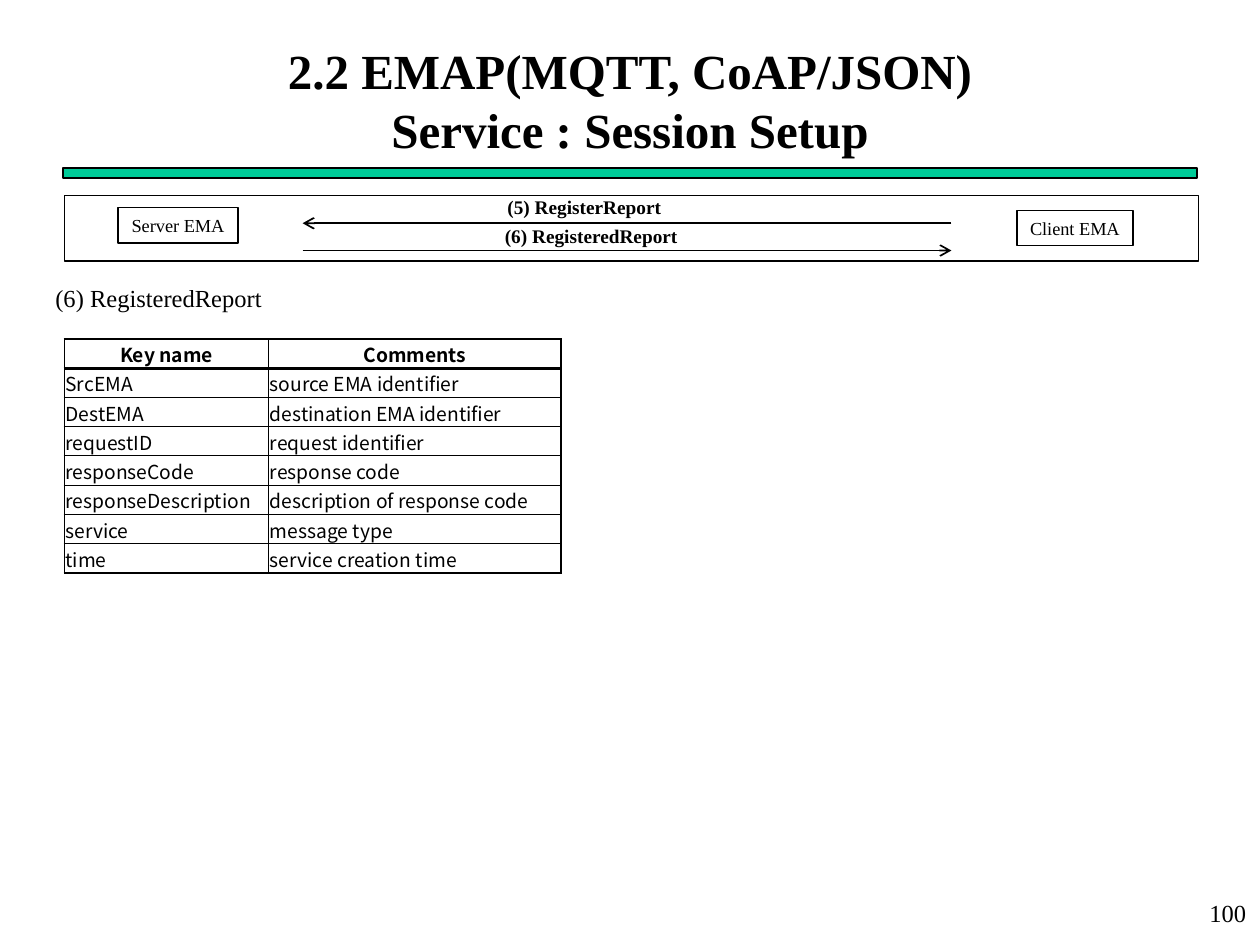
from lxml.etree import SubElement
from pptx import Presentation
from pptx.dml.color import RGBColor
from pptx.enum.shapes import MSO_CONNECTOR, MSO_SHAPE
from pptx.enum.text import MSO_ANCHOR, PP_ALIGN
from pptx.oxml.ns import qn
from pptx.util import Cm, Pt

BLACK = RGBColor(0x00, 0x00, 0x00)
WHITE = RGBColor(0xFF, 0xFF, 0xFF)
GREEN = RGBColor(0x00, 0xCC, 0x99)
SERIF = "Times New Roman"
SANS = "Noto Sans CJK KR"

TITLE = ["2.2 EMAP(MQTT, CoAP/JSON)", "Service : Session Setup"]
HEADING = "(6) RegisteredReport"
PAGE_NUMBER = "100"

# Positions are left, top, width, height in cm
ENDPOINTS = [
    ("Server EMA", (2.38, 4.19, 2.42, 0.71)),
    ("Client EMA", (20.5, 4.24, 2.34, 0.71)),
]
# Label, label position, start x, end x, y of the arrow
MESSAGES = [
    ("(5) RegisterReport", (9.98, 3.81, 3.63, 0.74), 19.18, 6.1, 4.5),
    (" (6) RegisteredReport", (9.83, 4.4, 4.11, 0.74), 6.1, 19.18, 5.05),
]
KEYS = [
    ("Key name", "Comments"),
    ("SrcEMA", "source EMA identifier"),
    ("DestEMA", "destination EMA identifier"),
    ("requestID", "request identifier"),
    ("responseCode", "response code"),
    ("responseDescription", "description of response code"),
    ("service", "message type"),
    ("time", "service creation time"),
]
COLUMN_WIDTHS = [4.12, 5.89]
ROW_HEIGHT = 0.59


def write(tf, lines, size, bold=False, align=PP_ALIGN.LEFT, font=SERIF):
    p = tf.paragraphs[0]
    p.alignment = align
    for i, line in enumerate(lines):
        if i:
            p.add_line_break()
        r = p.add_run()
        r.text = line
        r.font.size = Pt(size)
        r.font.bold = bold
        r.font.name = font
        r.font.color.rgb = BLACK


def add_box(shapes, at, fill, line_width):
    s = shapes.add_shape(MSO_SHAPE.RECTANGLE, *map(Cm, at))
    s.shadow.inherit = False
    s.fill.solid()
    s.fill.fore_color.rgb = fill
    s.line.color.rgb = BLACK
    s.line.width = Pt(line_width)
    return s


def add_label(shapes, at, lines, size, wrap=False, anchor=MSO_ANCHOR.TOP, **style):
    tf = shapes.add_textbox(*map(Cm, at)).text_frame
    tf.word_wrap = wrap
    tf.vertical_anchor = anchor
    write(tf, lines, size, **style)


def add_arrow(shapes, x1, x2, y):
    s = shapes.add_connector(MSO_CONNECTOR.STRAIGHT, Cm(x1), Cm(y), Cm(x2), Cm(y))
    s.line.color.rgb = BLACK
    s.line.width = Pt(1)
    SubElement(s.line._get_or_add_ln(), qn("a:tailEnd"), type="arrow")
    SubElement(s._element.spPr, qn("a:effectLst"))


def set_borders(cell, **widths):
    tcPr = cell._tc.get_or_add_tcPr()
    for side in "LRTB":
        ln = SubElement(tcPr, qn("a:ln" + side), w=str(Pt(widths[side])))
        fill = SubElement(ln, qn("a:solidFill"))
        SubElement(fill, qn("a:srgbClr"), val=str(BLACK))


def add_key_table(shapes, left, top):
    rows, cols = len(KEYS), len(COLUMN_WIDTHS)
    table = shapes.add_table(rows, cols, Cm(left), Cm(top),
                             Cm(sum(COLUMN_WIDTHS)), Cm(rows * ROW_HEIGHT)).table
    for column, width in zip(table.columns, COLUMN_WIDTHS):
        column.width = Cm(width)
    row_lines = [1, 2] + [0.5] * (rows - 2) + [1]
    column_lines = [1, 0.5, 1]
    for i, texts in enumerate(KEYS):
        table.rows[i].height = Cm(ROW_HEIGHT)
        for j, text in enumerate(texts):
            cell = table.cell(i, j)
            cell.margin_left = cell.margin_right = cell.margin_top = Cm(0.02)
            cell.margin_bottom = 0
            cell.vertical_anchor = MSO_ANCHOR.MIDDLE
            set_borders(cell, L=column_lines[j], R=column_lines[j + 1],
                        T=row_lines[i], B=row_lines[i + 1])
            cell.fill.background()
            write(cell.text_frame, [text], 11, bold=i == 0, font=SANS,
                  align=PP_ALIGN.LEFT if i else PP_ALIGN.CENTER)


def main():
    prs = Presentation()
    prs.slide_width, prs.slide_height = Cm(25.4), Cm(19.05)
    shapes = prs.slides.add_slide(prs.slide_layouts[6]).shapes

    add_box(shapes, (1.27, 3.39, 22.86, 0.2), GREEN, 0.75)
    add_label(shapes, (1.27, 0.84, 22.86, 2.34), TITLE, 28, wrap=True,
              anchor=MSO_ANCHOR.MIDDLE, bold=True, align=PP_ALIGN.CENTER)
    add_label(shapes, (20.09, 17.98, 5.28, 1.07), [PAGE_NUMBER], 14, wrap=True,
              align=PP_ALIGN.RIGHT)
    add_label(shapes, (0.84, 5.59, 4.72, 0.86), [HEADING], 14, align=PP_ALIGN.CENTER)

    add_box(shapes, (1.3, 3.94, 22.86, 1.32), WHITE, 1)
    for name, at in ENDPOINTS:
        tf = add_box(shapes, at, WHITE, 0.75).text_frame
        tf.word_wrap = False
        write(tf, [name], 10.5, align=PP_ALIGN.CENTER)
    for text, at, x1, x2, y in MESSAGES:
        add_arrow(shapes, x1, x2, y)
        add_label(shapes, at, [text], 11, bold=True)

    add_key_table(shapes, 1.3, 6.83)
    prs.save("out.pptx")


if __name__ == "__main__":
    main()
